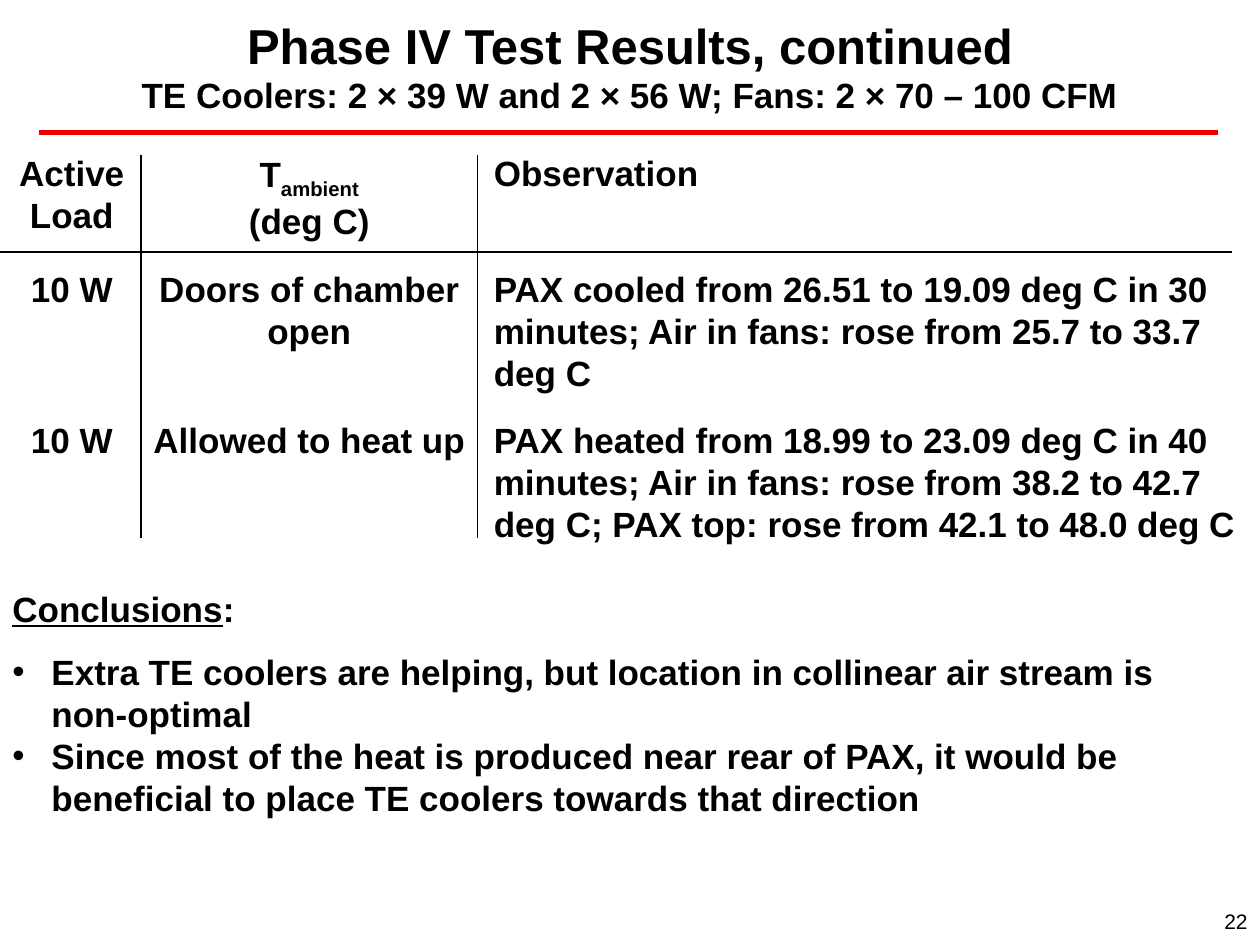
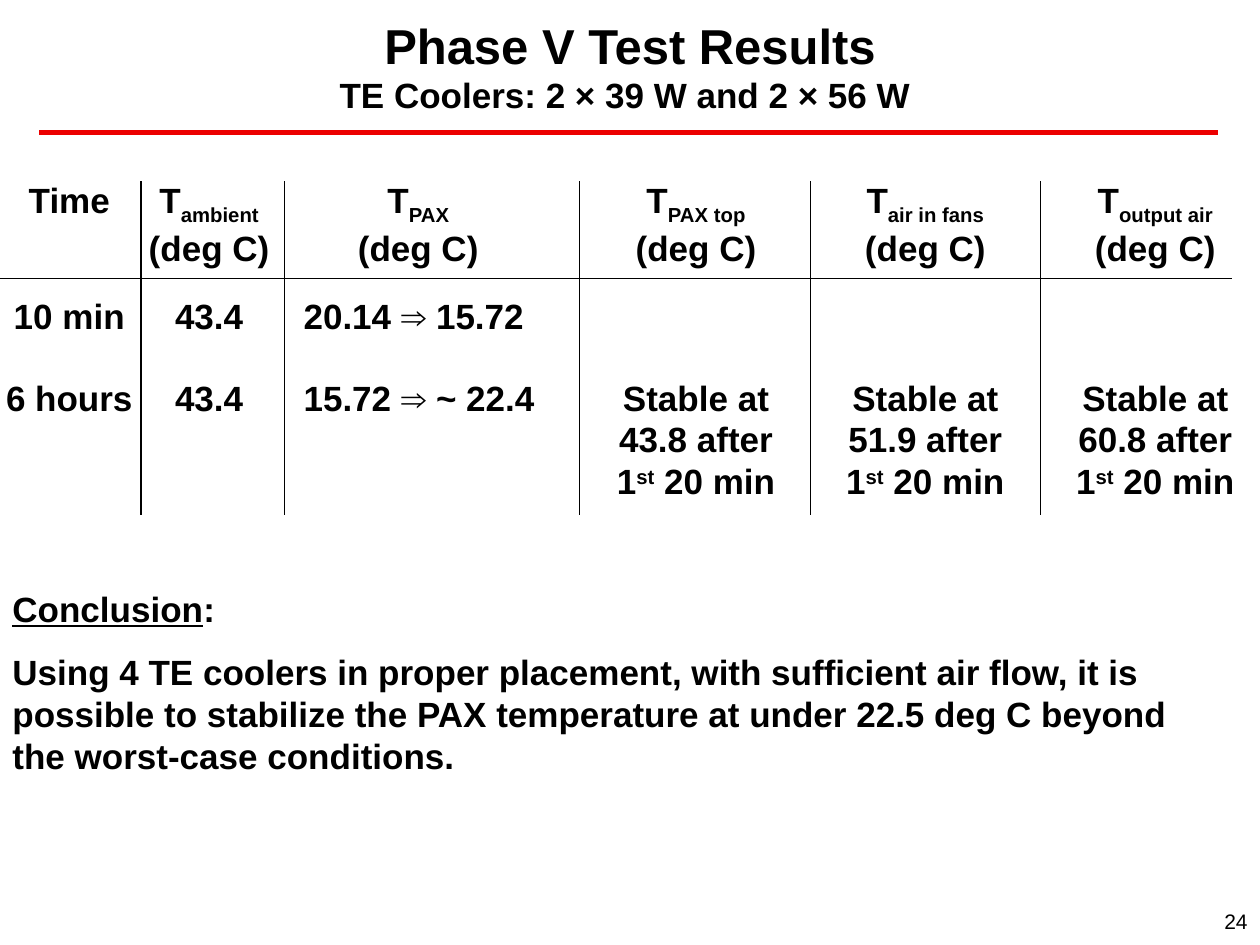
from itertools import accumulate

from lxml.etree import SubElement
from pptx import Presentation
from pptx.dml.color import RGBColor
from pptx.enum.shapes import MSO_CONNECTOR
from pptx.enum.text import MSO_ANCHOR, PP_ALIGN
from pptx.oxml.ns import qn
from pptx.util import Inches, Pt

HUES = {"ink": "000000", "rule": "EC0000"}
FACE = "Arial"
SUB, SUP = -25000, 30000
LEFT, MID, RIGHT = PP_ALIGN.LEFT, PP_ALIGN.CENTER, PP_ALIGN.RIGHT


def style(para, size=20, bold=True, align=LEFT):
    para.alignment = align
    font = para.font
    font.name, font.size, font.bold = FACE, Pt(size), bold
    font.color.rgb = RGBColor.from_string(HUES["ink"])


def add_runs(para, parts):
    """Each part is plain text or a (text, baseline shift) pair."""
    for part in parts:
        text, shift = (part, 0) if isinstance(part, str) else part
        run = para.add_run()
        run.text = text
        if shift:
            run._r.get_or_add_rPr().set("baseline", str(shift))


def add_box(slide, left, top, width, height):
    box = slide.shapes.add_textbox(*map(Inches, (left, top, width, height)))
    box.text_frame.word_wrap = True
    return box.text_frame


def add_line(slide, ends, hue="ink", weight=0.75):
    line = slide.shapes.add_connector(
        MSO_CONNECTOR.STRAIGHT, *map(Inches, ends))
    line.line.color.rgb = RGBColor.from_string(HUES[hue])
    line.line.width = Pt(weight)
    SubElement(line._element.spPr, qn("a:effectLst"))


# Title, red rule and page number
def add_frame(slide, title, note, page):
    add_line(slide, (0.31, 1.05, 9.67, 1.05), "rule", 3)
    head = add_box(slide, 0, 0, 10, 1.04)
    head.vertical_anchor = MSO_ANCHOR.MIDDLE
    para = head.paragraphs[0]
    style(para, 28, align=MID)
    add_runs(para, [title])
    para.add_line_break()
    add_runs(para, [note])
    para.runs[1].font.size = Pt(20)

    foot = add_box(slide, 7.92, 7.16, 2.08, 0.34).paragraphs[0]
    foot.text = str(page)
    style(foot, 12, False, RIGHT)


# Results table: cols hold (width, left margin, right margin, body alignment)
def add_grid(slide, top, cols, highs, rows):
    wide = sum(col[0] for col in cols)
    grid = slide.shapes.add_table(
        len(rows), len(cols), Inches(0), Inches(top),
        Inches(wide), Inches(sum(highs))).table
    grid.first_row = grid.horz_banding = False
    for row, high in zip(grid.rows, highs):
        row.height = Inches(high)
    for c, (width, left, right, align) in enumerate(cols):
        grid.columns[c].width = Inches(width)
        for r, row in enumerate(rows):
            cell = grid.cell(r, c)
            cell.fill.background()
            slim = r and align == LEFT
            cell.margin_left = Inches(left)
            cell.margin_right = Inches(0.05 if slim else right)
            cell.margin_top = Inches(0.13 if r else 0)
            cell.margin_bottom = 0
            frame = cell.text_frame
            for n, parts in enumerate(row[c] or [[]]):
                para = frame.add_paragraph() if n else frame.paragraphs[0]
                add_runs(para, parts)
                style(para, align=align if r else MID)
                para.line_spacing = 1.07
    return grid


# Thin lines between the columns and below the header row
def add_rules(slide, cols, top, mid, low):
    for x in accumulate(col[0] for col in cols[:-1]):
        add_line(slide, (x, top, x, low))
    add_line(slide, (0, mid, 9.78, mid))


# Underlined heading with plain or bulleted lines below
def add_end(slide, head, lines, bullet=False):
    frame = add_box(slide, 0, 4.61, 9.68, 1.94)
    para = frame.paragraphs[0]
    add_runs(para, [head, ":"])
    para.runs[0].font.underline = True
    style(para)
    for n, line in enumerate(lines):
        para = frame.add_paragraph()
        para.text = line
        if bullet:
            props = para._p.get_or_add_pPr()
            props.set("marL", str(Inches(0.31)))
            props.set("indent", str(-Inches(0.31)))
            SubElement(props, qn("a:buFont"), typeface=FACE)
            SubElement(props, qn("a:buChar"), char="•")
        style(para)
        if n == 0:
            para.space_before = Pt(12)


def plain(*lines):
    return [[line] for line in lines]


def temp(name):
    return [["T", (name, SUB)], ["(deg C)"]]


def stable(value):
    return [[f"Stable at {value} after 1", ("st", SUP), " 20 min"]]


def phase_four(slide):
    add_frame(slide, "Phase IV Test Results, continued",
              "TE Coolers: 2 × 39 W and 2 × 56 W; Fans: 2 × 70 – 100 CFM", 22)
    cols = [(1.12, 0.02, 0, MID), (2.67, 0.04, 0.04, MID), (6.21, 0.13, 0.1, LEFT)]
    rows = [
        [plain("Active", "Load"), temp("ambient"), plain("Observation")],
        [plain("10 W"), plain("Doors of chamber", "open"),
         plain("PAX cooled from 26.51 to 19.09 deg C in 30 minutes; "
               "Air in fans: rose from 25.7 to 33.7 deg C")],
        [plain("10 W"), plain("Allowed to heat up"),
         plain("PAX heated from 18.99 to 23.09 deg C in 40 minutes; "
               "Air in fans: rose from 38.2 to 42.7 deg C; "
               "PAX top: rose from 42.1 to 48.0 deg C")],
    ]
    grid = add_grid(slide, 1.21, cols, (0.79, 1.2, 1.13), rows)
    # The last heading starts at the left, as its column does
    grid.cell(0, 2).text_frame.paragraphs[0].alignment = LEFT
    add_rules(slide, cols, 1.23, 2, 4.27)
    add_end(slide, "Conclusions", [
        "Extra TE coolers are helping, but location in collinear air stream is"
        "\vnon-optimal",
        "Since most of the heat is produced near rear of PAX, it would be"
        "\vbeneficial to place TE coolers towards that direction",
    ], bullet=True)


def phase_five(slide):
    add_frame(slide, "Phase V Test Results",
              "TE Coolers: 2 × 39 W and 2 × 56 W ", 24)
    cols = [(1.12, 0, 0.02, MID), (1.14, 0, 0.06, MID), (2.34, 0.15, 0.37, LEFT),
            (1.83, 0.17, 0.15, MID), (1.83, 0.16, 0.16, MID),
            (1.74, 0.2, 0.12, MID)]
    names = ("ambient", "PAX", "PAX top", "air in fans", "output air")
    rows = [
        [plain("Time")] + [temp(name) for name in names],
        [plain("10 min"), plain("43.4"), plain("20.14 ⇒ 15.72"), [], [], []],
        [plain("6 hours"), plain("43.4"), plain("15.72 ⇒ ~ 22.4")]
        + [stable(value) for value in (43.8, 51.9, 60.8)],
    ]
    add_grid(slide, 1.42, cols, (0.79, 0.65, 1.23), rows)
    add_rules(slide, cols, 1.44, 2.21, 4.09)
    add_end(slide, "Conclusion", [
        "Using 4 TE coolers in proper placement, with sufficient air flow, it is "
        "possible to stabilize the PAX temperature at under 22.5 deg C beyond "
        "the worst-case conditions."])


def main():
    deck = Presentation()
    deck.slide_width, deck.slide_height = Inches(10), Inches(7.5)
    for build in (phase_four, phase_five):
        build(deck.slides.add_slide(deck.slide_layouts[6]))
    deck.save("out.pptx")


if __name__ == "__main__":
    main()
